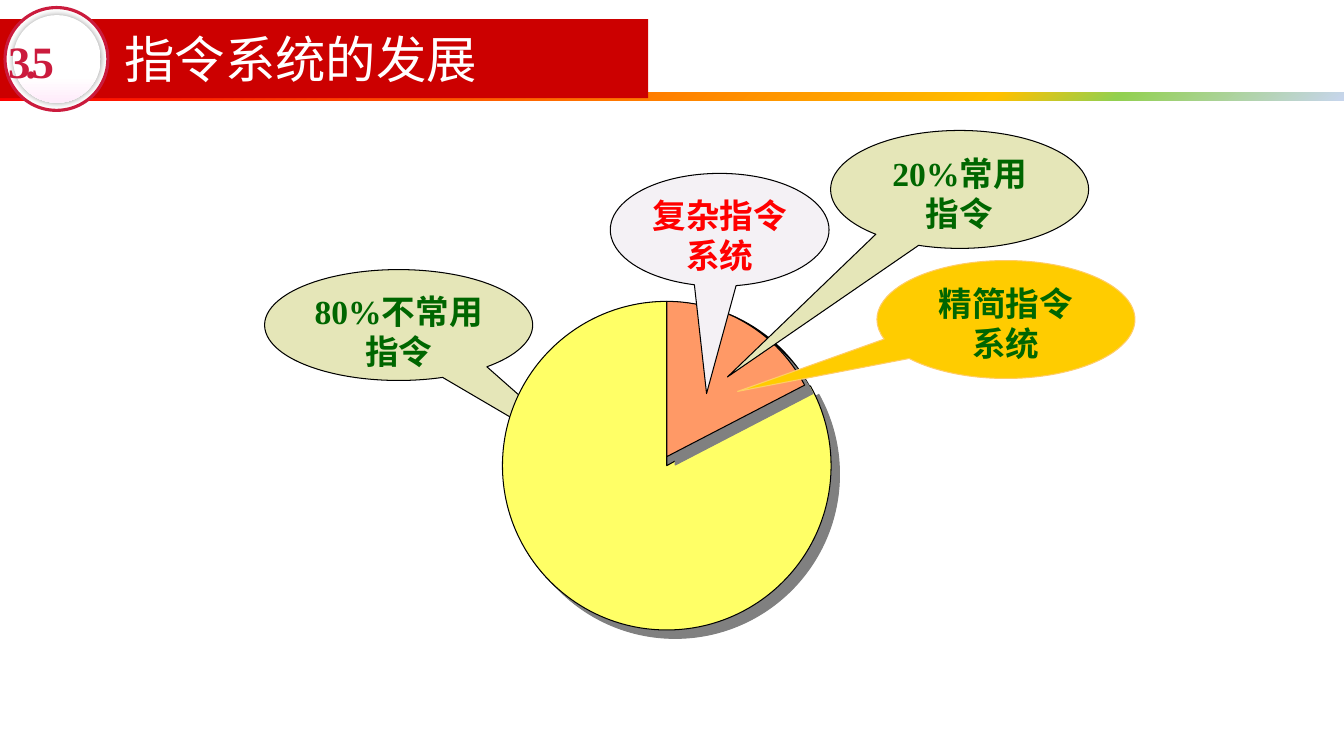
from math import cos, radians, sin, tan

from lxml.etree import SubElement
from pptx import Presentation
from pptx.dml.color import RGBColor
from pptx.enum.shapes import MSO_SHAPE
from pptx.enum.text import MSO_ANCHOR, PP_ALIGN
from pptx.oxml.ns import qn
from pptx.util import Inches, Pt

COLS, ROWS = 133.33, 75
CELL = Inches(0.1)
LATIN, HAN = "Times New Roman", "Noto Sans CJK SC"
HUES = {
    "red": "CC0000", "ring": "CB1B3D", "white": "FFFFFF", "black": "000000",
    "gray": "808080", "sun": "FFFF00", "lemon": "FFFF66", "coral": "FF9966",
    "sage": "E5E6B8", "mist": "F4F1F5", "gold": "FFCC00", "sand": "FFCC66",
    "green": "006600", "alert": "FF0000",
}
RAINBOW = [(0, "FF0000"), (74, "FFC000"), (83, "92D050"), (100, "C7D5ED")]
BLUSH = [(0, "FFFFFF"), (40, "FFFFFF"), (70, "FFFFFF"), (100, "FFEBFA")]


def grid(*cells):
    """Turn grid cells into slide lengths."""
    return [round(cell * CELL) for cell in cells]


def hue(name):
    return RGBColor.from_string(HUES[name])


def paint(shape, fill, line=None, width=0.75):
    shape.shadow.inherit = False
    shape.fill.solid()
    shape.fill.fore_color.rgb = hue(fill)
    if line:
        shape.line.color.rgb = hue(line)
        shape.line.width = Pt(width)
    else:
        shape.line.fill.background()


def blend(shape, stops, angle):
    """Fill with a gradient whose angle runs clockwise."""
    shape.fill.gradient()
    shape.fill.gradient_angle = 360 - angle
    gs_list = shape.element.spPr.find(qn("a:gradFill")).find(qn("a:gsLst"))
    for old in list(gs_list):
        gs_list.remove(old)
    for share, color in stops:
        stop = SubElement(gs_list, qn("a:gs"), pos=str(share * 1000))
        SubElement(stop, qn("a:srgbClr"), val=color)


def shade(shape, color, blur=0, dist=0, alpha=100):
    effects = shape.element.spPr.find(qn("a:effectLst"))
    outer = SubElement(effects, qn("a:outerShdw"), blurRad=str(Pt(blur)),
                       dist=str(Pt(dist)), dir=str(45 * 60000),
                       algn="ctr", rotWithShape="0")
    tint = SubElement(outer, qn("a:srgbClr"), val=HUES[color])
    SubElement(tint, qn("a:alpha"), val=str(alpha * 1000))


def write(shape, text, size=24, color="green", font=LATIN, bold=True,
          align=PP_ALIGN.LEFT, anchor=MSO_ANCHOR.MIDDLE, inset=None,
          pace=None, track=None):
    frame = shape.text_frame
    frame.word_wrap = True
    frame.vertical_anchor = anchor
    if inset is not None:
        frame.margin_left = frame.margin_right = inset
        frame.margin_top = frame.margin_bottom = inset
    para = frame.paragraphs[0]
    para.alignment = align
    if pace:
        para.line_spacing = pace
    run = para.add_run()
    run.text = text
    run.font.name, run.font.size, run.font.bold = font, Pt(size), bold
    run.font.color.rgb = hue(color)
    props = run.font._element
    SubElement(props, qn("a:ea"), typeface=HAN)
    if track:
        props.set("spc", str(round(track * 100)))


def block(slide, kind, box, fill, line=None, width=0.75):
    shape = slide.shapes.add_shape(kind, *grid(*box))
    paint(shape, fill, line, width)
    return shape


def label(slide, box, text, **style):
    write(slide.shapes.add_textbox(*grid(*box)), text, **style)


def bubble(slide, box, tip, text, fill, line="black", color="green"):
    shape = block(slide, MSO_SHAPE.OVAL_CALLOUT, box, fill, line)
    shape.adjustments[0], shape.adjustments[1] = tip
    write(shape, text, color=color, align=PP_ALIGN.CENTER,
          anchor=MSO_ANCHOR.TOP)


def bend(shape, count):
    """Join the first lines of an outline, three by three, into curves."""
    lines = list(shape.element.iter(qn("a:lnTo")))[:3 * count]
    for i in range(0, len(lines), 3):
        trio = lines[i:i + 3]
        curve = trio[0].getparent().makeelement(qn("a:cubicBezTo"))
        trio[0].addprevious(curve)
        for line in trio:
            curve.append(line[0])
            line.getparent().remove(line)


def wedge(slide, hub, reach, angles, fill):
    """Draw a pie part; angles run clockwise from the top."""
    def spot(turn, pull=0):
        """Point on the rim, moved along the tangent by a share of reach."""
        return grid(hub[0] + reach * (sin(turn) + pull * cos(turn)),
                    hub[1] - reach * (cos(turn) - pull * sin(turn)))

    turns = [radians(angle) for angle in angles]
    points = []
    for a, b in zip(turns, turns[1:]):
        pull = 4 / 3 * tan((b - a) / 4)
        points += [spot(a, pull), spot(b, -pull), spot(b)]
    outline = slide.shapes.build_freeform(*spot(turns[0]))
    outline.add_line_segments(points + [grid(*hub)], close=True)
    shape = outline.convert_to_shape()
    bend(shape, len(turns) - 1)
    paint(shape, fill, "black")
    shade(shape, "gray", dist=8.5)


def header(slide):
    stripe = block(slide, MSO_SHAPE.RECTANGLE, (0, 9.2, COLS, 0.8), "red")
    blend(stripe, RAINBOW, 45)
    block(slide, MSO_SHAPE.RECTANGLE, (0, 1.9, 64.3, 7.85), "red")
    block(slide, MSO_SHAPE.OVAL, (0.5, 0.75, 10.2, 10.2), "white", "ring", 2.25)
    disc = block(slide, MSO_SHAPE.OVAL, (1.3, 1.5, 8.7, 8.7), "white")
    blend(disc, BLUSH, 90)
    shade(disc, "black", blur=5, alpha=40)
    label(slide, (11.35, 2.05, 75.7, 8.2), "指令系统的发展", size=36,
          color="white", font=HAN, bold=False, pace=0.9)
    label(slide, (0.8, 3.35, 9.3, 5.4), "3.5", size=32, color="ring",
          inset=0, track=-3.6)


def main():
    deck = Presentation()
    deck.slide_width, deck.slide_height = grid(COLS, ROWS)
    slide = deck.slides.add_slide(deck.slide_layouts[6])
    header(slide)
    block(slide, MSO_SHAPE.OVAL, (50.1, 30.1, 32.1, 32.3), "sun", "black", 3)
    bubble(slide, (26.25, 26.75, 26.6, 11), (0.79, 1.36),
           "80%不常用指令", "sage")
    wedge(slide, (66.15, 46.2), 16.3, (360, 270, 180, 90, 61), "lemon")
    wedge(slide, (66.15, 45.3), 15.4, (0, 62.6), "coral")
    bubble(slide, (60.55, 17.2, 21.7, 11.2), (-0.06, 1.45),
           "复杂指令系统", "mist", color="alert")
    bubble(slide, (82.4, 12.95, 25.6, 11.7), (-0.9, 1.59),
           "20%常用指令", "sage")
    bubble(slide, (87, 25.85, 25.6, 11.7), (-1.04, 0.61),
           "精简指令系统", "gold", line="sand")
    deck.save("out.pptx")


if __name__ == "__main__":
    main()
